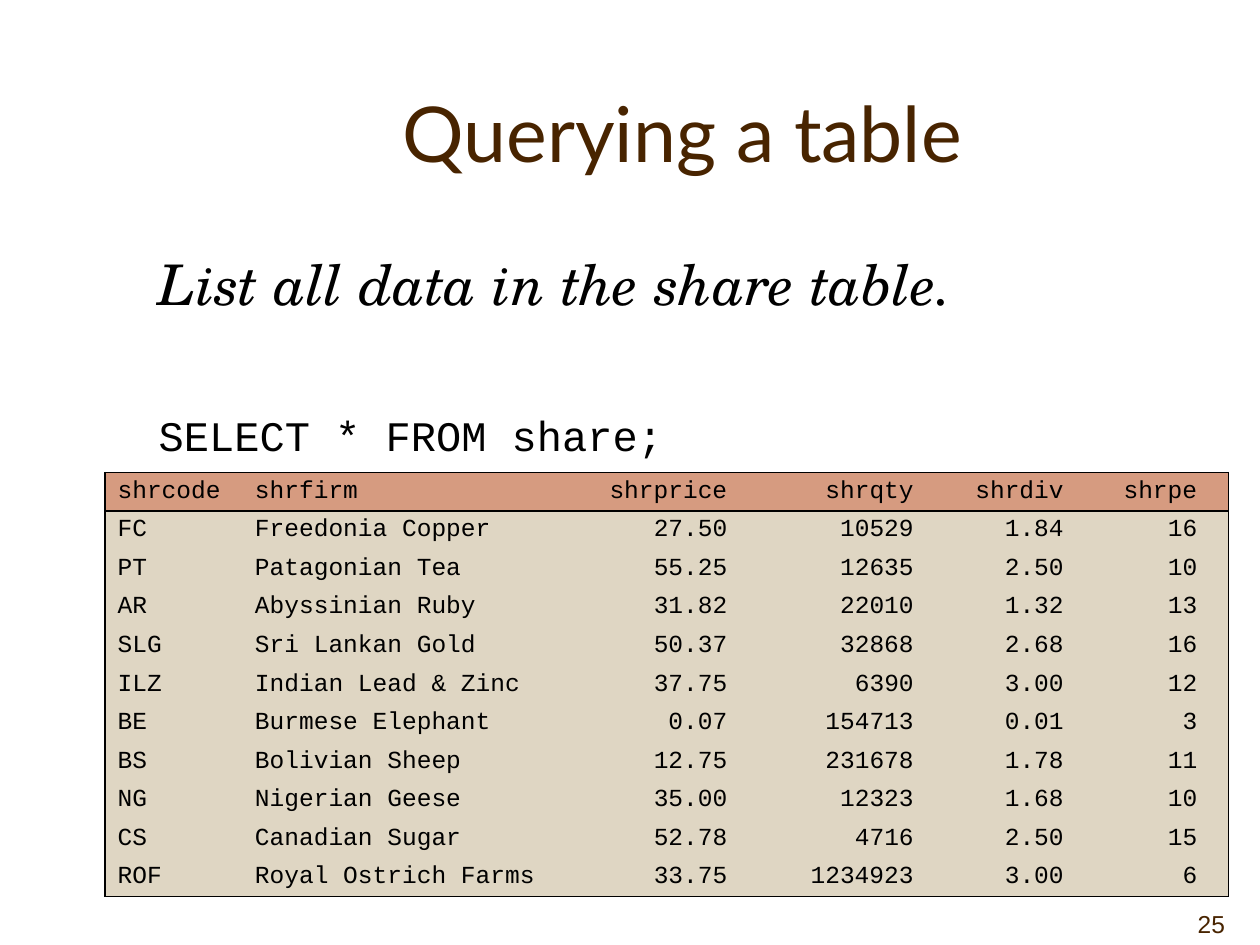
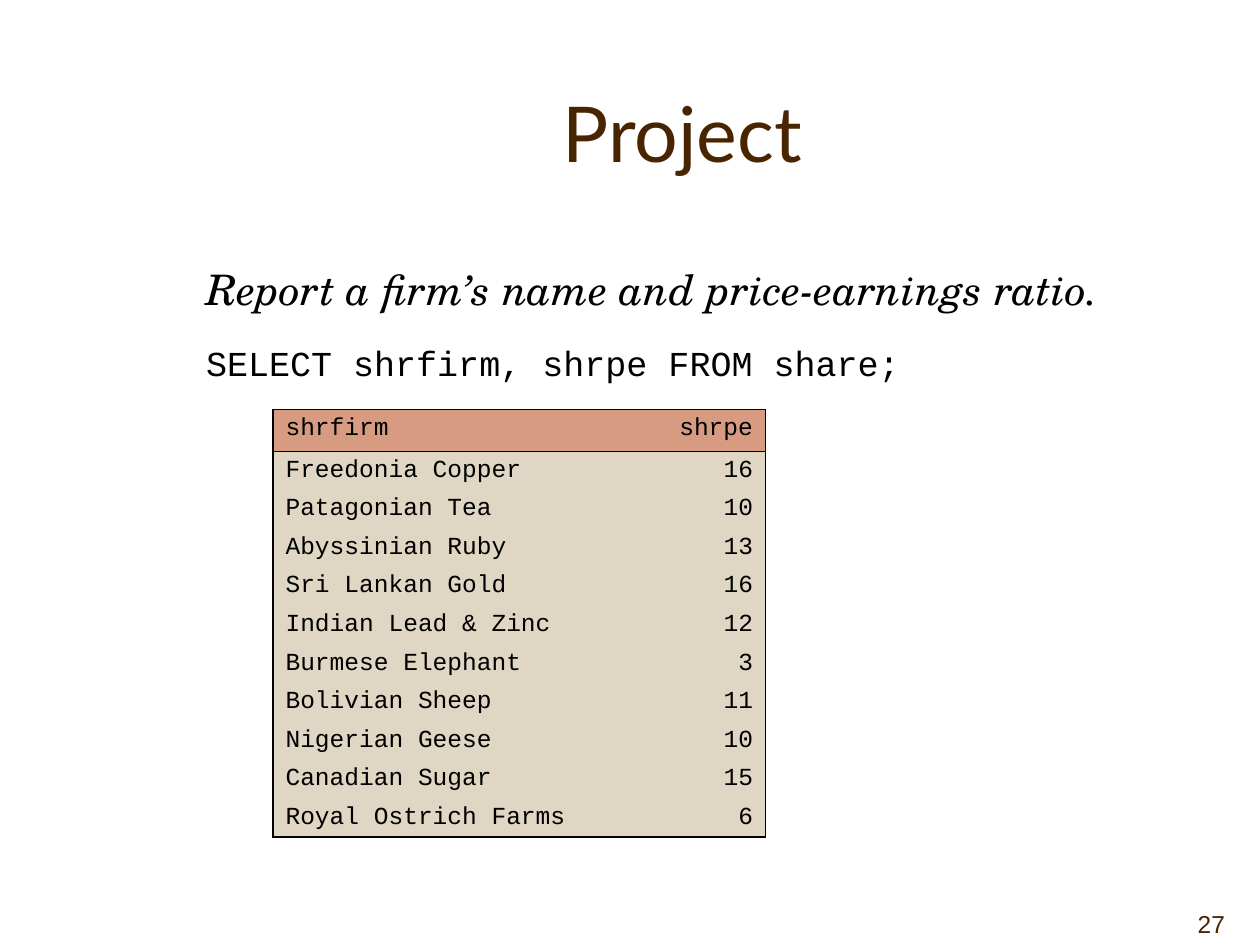
from collections import namedtuple
from dataclasses import dataclass

from lxml import etree
from pptx import Presentation
from pptx.dml.color import RGBColor
from pptx.enum import text
from pptx.oxml import ns
from pptx.util import Pt

Box = namedtuple("Box", "left top width height")


@dataclass(frozen=True)
class Theme:
    """Colours, fonts and type sizes shared by the slides."""
    brown: str = "482400"
    black: str = "000000"
    header_fill: str = "D69B80"
    row_fill: str = "DFD6C3"
    title_font: str = "Lato"
    task_font: str = "TeX Gyre Schola"
    code_font: str = "Courier New"
    number_font: str = "Arial"
    title_size: int = 44
    small_size: int = 14
    border: float = 1


THEME = Theme()
TITLE_BOX = Box(84, 30, 612, 90)
NUMBER_BOX = Box(666, 504, 53, 36)
LEFT, CENTER, RIGHT = text.PP_ALIGN.LEFT, text.PP_ALIGN.CENTER, text.PP_ALIGN.RIGHT

SHARE_COLUMNS = ("shrcode", "shrfirm", "shrprice", "shrqty", "shrdiv", "shrpe")
SHARES = (
    ("FC", "Freedonia Copper", "27.50", "10529", "1.84", "16"),
    ("PT", "Patagonian Tea", "55.25", "12635", "2.50", "10"),
    ("AR", "Abyssinian Ruby", "31.82", "22010", "1.32", "13"),
    ("SLG", "Sri Lankan Gold", "50.37", "32868", "2.68", "16"),
    ("ILZ", "Indian Lead & Zinc", "37.75", "6390", "3.00", "12"),
    ("BE", "Burmese Elephant", "0.07", "154713", "0.01", "3"),
    ("BS", "Bolivian Sheep", "12.75", "231678", "1.78", "11"),
    ("NG", "Nigerian Geese", "35.00", "12323", "1.68", "10"),
    ("CS", "Canadian Sugar", "52.78", "4716", "2.50", "15"),
    ("ROF", "Royal Ostrich Farms", "33.75", "1234923", "3.00", "6"),
)


def apply(target, **formats):
    """Set each format value on the target."""
    for name, value in formats.items():
        setattr(target, name, value)


def place(shape, box):
    """Move and size a shape to fill a box."""
    apply(shape, **{side: Pt(length) for side, length in box._asdict().items()})


def write(paragraph, words, font, size, colour, align=LEFT, italic=False):
    """Put one formatted run in a paragraph."""
    paragraph.alignment = align
    run = paragraph.add_run()
    run.text = words
    apply(run.font, name=font, size=Pt(size), italic=italic, bold=False)
    run.font.color.rgb = RGBColor.from_string(colour)


def add_heading(slide, words, box):
    """Fill the title placeholder."""
    heading = slide.shapes.title
    place(heading, box)
    heading.text_frame.vertical_anchor = text.MSO_ANCHOR.MIDDLE
    write(heading.text_frame.paragraphs[0], words, THEME.title_font,
          THEME.title_size, THEME.brown, CENTER)


def add_query(slide, task, code, box, sizes, gap, indent=0):
    """Fill the body placeholder with a task and the query that solves it."""
    body = slide.placeholders[1]
    place(body, box)
    frame = body.text_frame
    lines = ((task, THEME.task_font, 0, True), (code, THEME.code_font, gap, False))
    for index, (words, font, space, italic) in enumerate(lines):
        paragraph = frame.add_paragraph() if index else frame.paragraphs[0]
        properties = paragraph._p.get_or_add_pPr()
        apply(paragraph, space_before=Pt(space))
        properties.set("marL", str(Pt(indent)))
        properties.set("indent", "0")
        etree.SubElement(properties, ns.qn("a:buNone"))
        write(paragraph, words, font, sizes[index], THEME.black, italic=italic)


def add_borders(cell, drawn):
    """Draw the named sides of a cell and clear the others."""
    properties = cell._tc.get_or_add_tcPr()
    for side in "LRTB":
        line = etree.SubElement(properties, ns.qn(f"a:ln{side}"), w=str(Pt(THEME.border)))
        if side in drawn:
            fill = etree.SubElement(line, ns.qn("a:solidFill"))
            etree.SubElement(fill, ns.qn("a:srgbClr"), val=THEME.black)
        else:
            etree.SubElement(line, ns.qn("a:noFill"))


def add_result(slide, names, records, left, top, widths, heights, text_columns, number_insets):
    """Draw a query result with a header row and a black frame."""
    rows = (names, *records)
    last_row, last_column = len(rows) - 1, len(names) - 1
    result = slide.shapes.add_table(len(rows), len(names), Pt(left), Pt(top),
                                    Pt(sum(widths)), Pt(sum(heights))).table
    apply(result, first_row=False, horz_banding=False)
    for column, width in zip(result.columns, widths):
        column.width = Pt(width)
    for r, (values, height) in enumerate(zip(rows, heights)):
        result.rows[r].height = Pt(height)
        for c, value in enumerate(values):
            cell = result.cell(r, c)
            edges = {"L": c == 0, "R": c == last_column, "T": r < 2, "B": r in (0, last_row)}
            add_borders(cell, [side for side, drawn in edges.items() if drawn])
            cell.fill.solid()
            cell.fill.fore_color.rgb = RGBColor.from_string(
                THEME.row_fill if r else THEME.header_fill)
            is_text = c < text_columns
            if not is_text:
                apply(cell, margin_left=Pt(number_insets[0]), margin_right=Pt(number_insets[1]))
            paragraph = cell.text_frame.paragraphs[0]
            paragraph.line_spacing = 0.88
            write(paragraph, value, THEME.code_font, THEME.small_size, THEME.black,
                  LEFT if is_text else RIGHT)


def add_number(slide, number, box):
    """Write the slide number in the bottom corner."""
    frame = slide.shapes.add_textbox(*map(Pt, box)).text_frame
    apply(frame, word_wrap=True, vertical_anchor=text.MSO_ANCHOR.BOTTOM, margin_right=Pt(19))
    write(frame.paragraphs[0], str(number), THEME.number_font, THEME.small_size,
          THEME.brown, RIGHT)


def add_query_slide(deck, heading, number, query, result):
    """Build a slide with a heading, a query and its result."""
    slide = deck.slides.add_slide(deck.slide_layouts[1])
    add_number(slide, number, NUMBER_BOX)
    add_heading(slide, heading, TITLE_BOX)
    add_query(slide, **query)
    add_result(slide, **result)


def main():
    """Build and save the deck."""
    deck = Presentation()
    apply(deck, slide_width=Pt(720), slide_height=Pt(540))
    add_query_slide(
        deck, "Querying a table", 25,
        dict(task="List all data in the share table.", code="SELECT * FROM share;",
             box=Box(83.5, 139, 612, 324), sizes=(32, 24), gap=53),
        dict(names=SHARE_COLUMNS, records=SHARES, left=60, top=270,
             widths=(78.5, 203, 92.2, 106.5, 85.7, 76.3), heights=[21.15] * 11,
             text_columns=2, number_insets=(0, 18)))
    add_query_slide(
        deck, "Project", 27,
        dict(task="Report a firm’s name and price-earnings ratio.",
             code="SELECT shrfirm, shrpe FROM share;",
             box=Box(83.5, 147, 612, 316), sizes=(24, 20), gap=15.5, indent=27),
        dict(names=("shrfirm", "shrpe"), records=[(row[1], row[5]) for row in SHARES],
             left=156, top=234, widths=(209.5, 72), heights=[24] + [21.85] * 9 + [21.15],
             text_columns=1, number_insets=(7.2, 7.2)))
    deck.save("out.pptx")


if __name__ == "__main__":
    main()
